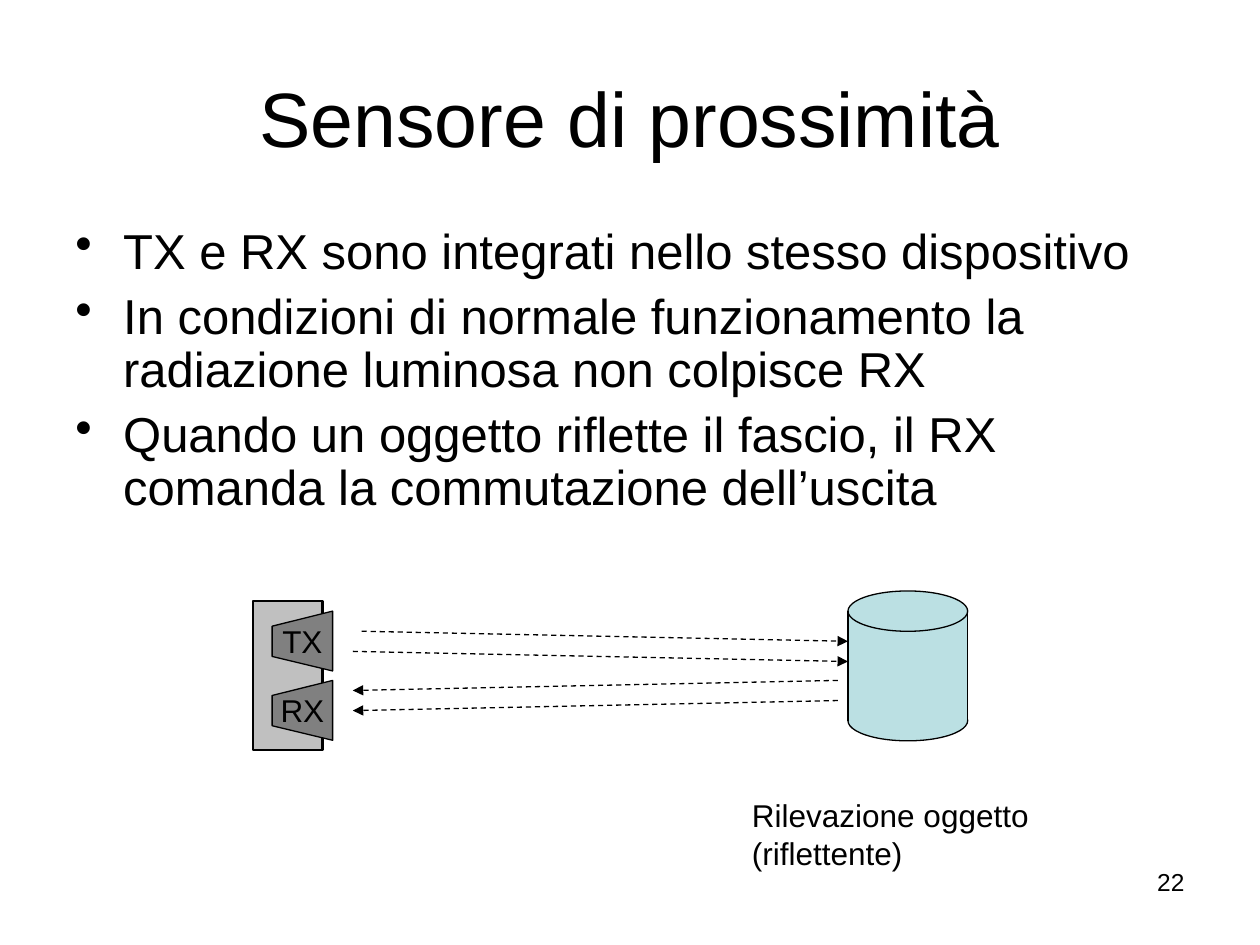
from lxml import etree
from pptx import Presentation
from pptx.dml.color import RGBColor
from pptx.enum.dml import MSO_LINE
from pptx.enum.shapes import MSO_CONNECTOR, MSO_SHAPE
from pptx.enum.text import MSO_ANCHOR, MSO_AUTO_SIZE, PP_ALIGN
from pptx.oxml.ns import qn
from pptx.util import Inches, Pt

STRAIGHT = MSO_CONNECTOR.STRAIGHT
RECTANGLE, ELLIPSE = MSO_SHAPE.RECTANGLE, MSO_SHAPE.OVAL
LEFT, CENTER, RIGHT = PP_ALIGN.LEFT, PP_ALIGN.CENTER, PP_ALIGN.RIGHT
TOP, MIDDLE = MSO_ANCHOR.TOP, MSO_ANCHOR.MIDDLE
FIXED = MSO_AUTO_SIZE.NONE
DASH = MSO_LINE.DASH
BLACK, SILVER, GRAY, AQUA = "000000", "C0C0C0", "808080", "BBE0E3"

presentation = Presentation()
presentation.slide_width, presentation.slide_height = Inches(10), Inches(7.5)
COLUMN = presentation.slide_width / 100
ROW = presentation.slide_height / 75
slide = presentation.slides.add_slide(presentation.slide_layouts[5])
shapes = slide.shapes


def paint(shape, fill=None, line=None, width=0.75):
    if fill:
        shape.shadow.inherit = False
        shape.fill.solid()
        shape.fill.fore_color.rgb = RGBColor.from_string(fill)
    else:
        etree.SubElement(shape._element.spPr, qn("a:effectLst"))
    if line:
        shape.line.color.rgb = RGBColor.from_string(line)
        shape.line.width = Pt(width)
    else:
        shape.line.fill.background()


def write(shape, lines, size, align=LEFT, anchor=TOP, before=0, wrap=True):
    frame = shape.text_frame
    frame.text = "\n".join(lines)
    frame.word_wrap, frame.auto_size = wrap, FIXED
    frame.vertical_anchor = anchor
    for paragraph in frame.paragraphs:
        paragraph.alignment = align
        paragraph.space_before = Pt(before)
        paragraph.font.name, paragraph.font.size = "Arial", Pt(size)
        paragraph.font.color.rgb = RGBColor.from_string(BLACK)
    return frame


title = shapes.title
title.left, title.top = round(5 * COLUMN), round(3 * ROW)
title.width, title.height = round(90 * COLUMN), round(12.5 * ROW)
write(title, ["Sensore di prossimità"], 44, CENTER, MIDDLE)

body = shapes.add_textbox(round(5 * COLUMN), round(17.5 * ROW), round(90 * COLUMN), round(27.1 * ROW))
points = [
    "TX e RX sono integrati nello stesso dispositivo",
    "In condizioni di normale funzionamento la radiazione luminosa non colpisce RX",
    "Quando un oggetto riflette il fascio, il RX comanda la commutazione dell’uscita",
]
for paragraph in write(body, points, 28, before=7).paragraphs:
    paragraph.line_spacing = 0.9
    properties = paragraph._p.get_or_add_pPr()
    properties.set("marL", str(round(3.8 * COLUMN)))
    properties.set("indent", str(round(-3.8 * COLUMN)))
    bullet = etree.Element(qn("a:buChar"), char="•")
    properties.find(qn("a:defRPr")).addprevious(bullet)

beams = [
    (28.7, 50.1, 67.3, 50.9),
    (28, 51.7, 67.3, 52.5),
    (66.5, 54, 28, 54.8),
    (66.5, 55.6, 28, 56.4),
]
for start_x, start_y, end_x, end_y in beams:
    beam = shapes.add_connector(
        STRAIGHT, round(start_x * COLUMN), round(start_y * ROW), round(end_x * COLUMN), round(end_y * ROW))
    paint(beam, line=BLACK)
    beam.line.dash_style = DASH
    etree.SubElement(beam.line._get_or_add_ln(), qn("a:tailEnd"), type="triangle")

housing = shapes.add_shape(
    RECTANGLE, round(20.1 * COLUMN), round(47.7 * ROW), round(5.5 * COLUMN), round(11.8 * ROW))
paint(housing, SILVER, BLACK, 1.25)

for label, top in (("RX", 54), ("TX", 48.5)):
    builder = shapes.build_freeform(round(26.4 * COLUMN), round(top * ROW))
    corners = [(26.4, top + 4.75), (21.6, top + 3.6), (21.6, top + 1.2)]
    builder.add_line_segments([(round(x * COLUMN), round(y * ROW)) for x, y in corners], close=True)
    element = builder.convert_to_shape()
    paint(element, GRAY, BLACK)
    frame = write(element, [label], 18, CENTER, MIDDLE, wrap=False)
    frame.margin_left = frame.margin_right = frame.margin_top = frame.margin_bottom = 0

cylinder = shapes.add_group_shape().shapes
cylinder_parts = [
    (ELLIPSE, 55.6, 3.2, BLACK),
    (RECTANGLE, 48.5, 8.7, None),
    (ELLIPSE, 46.9, 3.2, BLACK),
]
for kind, top, height, line in cylinder_parts:
    part = cylinder.add_shape(
        kind, round(67.3 * COLUMN), round(top * ROW), round(9.5 * COLUMN), round(height * ROW))
    paint(part, AQUA, line)
for x in (67.3, 76.8):
    side = cylinder.add_connector(
        STRAIGHT, round(x * COLUMN), round(48.5 * ROW), round(x * COLUMN), round(57.2 * ROW))
    paint(side, line=BLACK)

caption = shapes.add_textbox(round(58.7 * COLUMN), round(62.7 * ROW), round(26 * COLUMN), round(7 * ROW))
write(caption, ["Rilevazione oggetto (riflettente)"], 18, before=11.2)

slide_number = shapes.add_textbox(
    round(71.7 * COLUMN), round(68.3 * ROW), round(23.3 * COLUMN), round(5.2 * ROW))
write(slide_number, ["22"], 14, RIGHT)

presentation.save("out.pptx")
